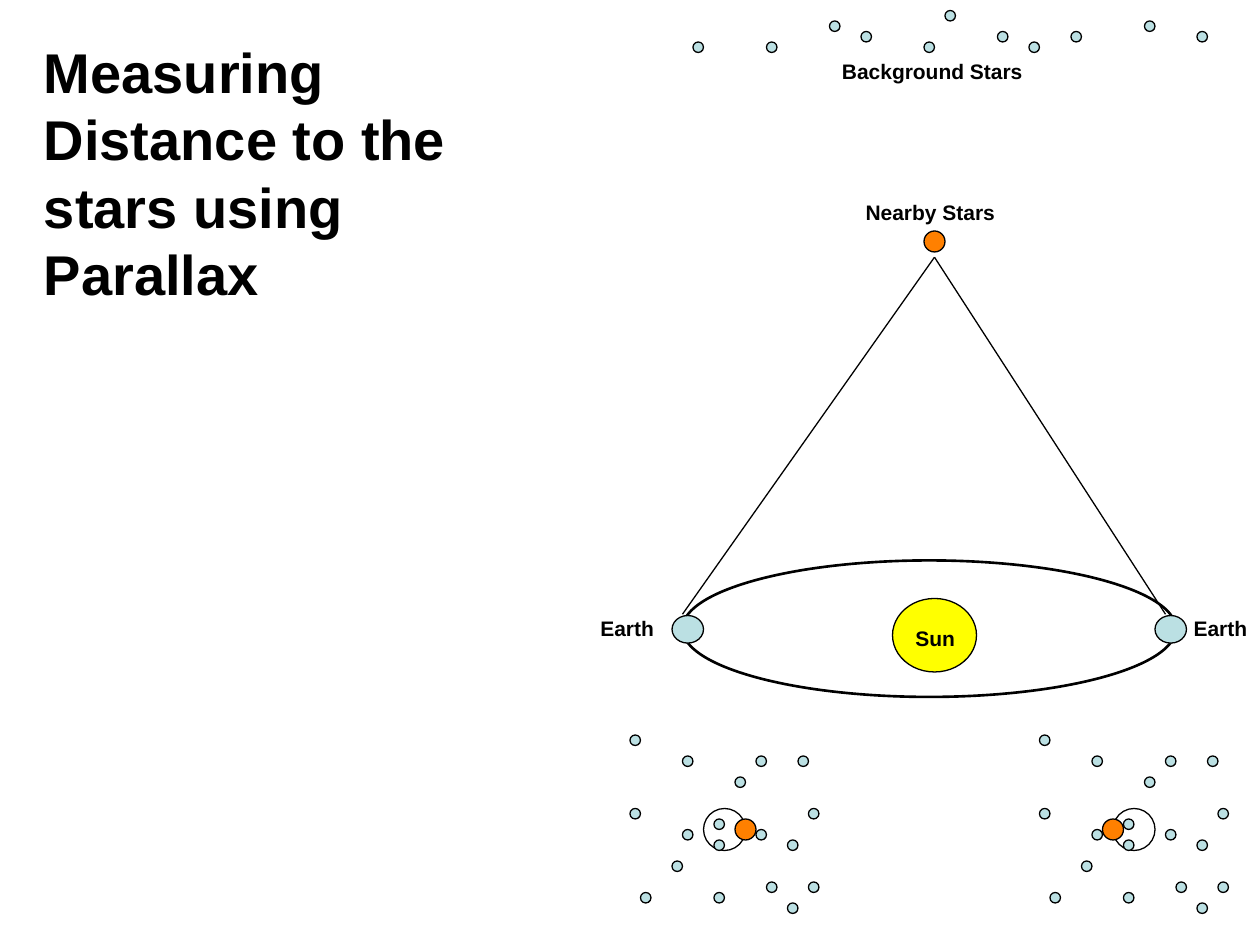
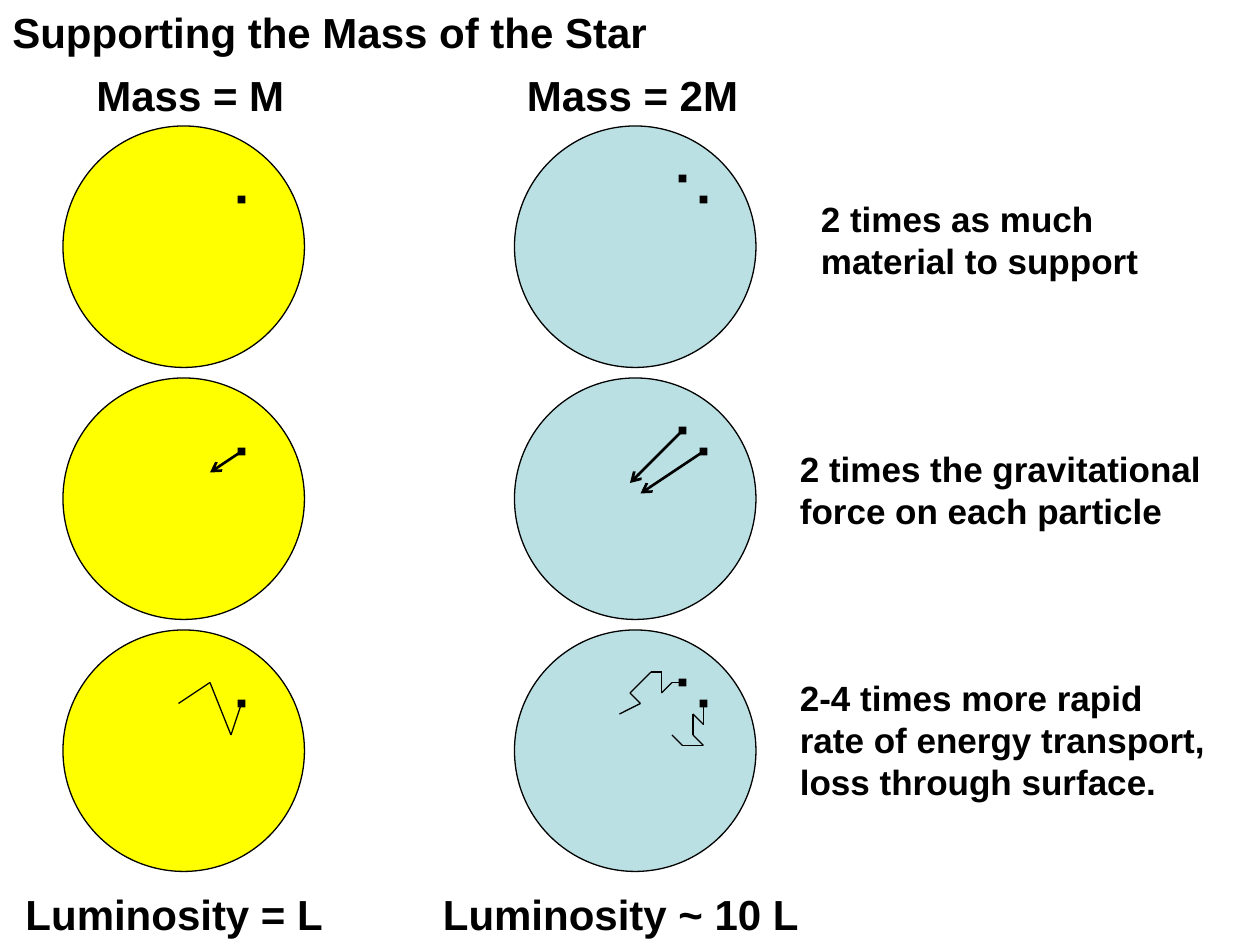
from dataclasses import dataclass

from lxml import etree
from pptx import Presentation
from pptx.dml.color import RGBColor
from pptx.enum.shapes import MSO_CONNECTOR, MSO_SHAPE
from pptx.enum.text import MSO_AUTO_SIZE
from pptx.oxml.ns import qn
from pptx.slide import Slide
from pptx.util import Emu, Pt

OVAL = MSO_SHAPE.OVAL
SQUARE = MSO_SHAPE.RECTANGLE
STRAIGHT = MSO_CONNECTOR.STRAIGHT
GROW = MSO_AUTO_SIZE.SHAPE_TO_FIT_TEXT

EMU_PER_PX = 9525
FONT = "Arial"
BLACK = "000000"
YELLOW = "FFFF00"
PALE_BLUE = "BBE0E3"
ORANGE = "FF8000"
THIN, THICK = 0.75, 1.5

Point = tuple[int, int]


@dataclass(frozen=True)
class Label:
    text: str
    left: int
    top: int
    width: int
    height: int
    size: int
    wrap: bool = False


@dataclass(frozen=True)
class Oval:
    left: int
    top: int
    width: int
    height: int
    fill: str | None = None
    weight: float = THIN


@dataclass(frozen=True)
class Particle:
    place: Point
    pull: Point
    walk: tuple[Point, ...]


@dataclass(frozen=True)
class StarColumn:
    left: int
    fill: str
    particles: tuple[Particle, ...]


STAR_SIZE = 8
NEARBY_SIZE = 16
RING_SIZE = 32
BACKGROUND_STARS = (
    (528, 32), (584, 32), (632, 16), (704, 32), (760, 24), (816, 24),
    (872, 16), (656, 24), (784, 32), (720, 8), (912, 24),
)
SKY_STARS = (
    (32, 96), (64, 64), (128, 16), (40, 16), (96, 16), (136, 56),
    (80, 32), (0, 0), (8, 120), (64, 120), (104, 112), (120, 128),
    (40, 72), (96, 72), (120, 80), (136, 112), (64, 80), (0, 56),
)
SKY_TOP = 560
SKY_LEFT_TO_NEARBY_SHIFT = {480: 80, 792: 48}
PARALLAX_LABELS = (
    Label("Earth", 448, 464, 60, 29, 12),
    Label("Earth", 900, 464, 60, 29, 12),
    Label("Sun", 688, 472, 52, 29, 12),
    Label("Background Stars", 632, 40, 160, 29, 12),
    Label("Nearby Stars", 650, 147, 121, 29, 12),
)

DISC_SIZE = 184
DISC_TOPS = (96, 288, 480)
PARTICLE_SIZE = 6
STAR_COLUMNS = (
    StarColumn(48, YELLOW, (
        Particle((136, 56), (-24, 16), ((-8, 24), (-24, -16), (-48, 0))),
    )),
    StarColumn(392, PALE_BLUE, (
        Particle((128, 40), (-40, 40), (
            (-8, 0), (-16, 8), (-16, -8), (-24, -8),
            (-40, 8), (-32, 16), (-48, 24),
        )),
        Particle((144, 56), (-48, 32), (
            (0, 16), (-8, 8), (-8, 24), (0, 32), (-16, 32), (-24, 24),
        )),
    )),
)
MASS_LABELS = (
    Label("Supporting the Mass of the Star", 0, 0, 506, 48, 24),
    Label("Mass = M", 64, 48, 166, 48, 24),
    Label("Mass = 2M", 392, 48, 184, 48, 24),
    Label("2 times as much material to support", 616, 146, 264, 74, 20, True),
    Label("2 times the gravitational force on each particle",
          600, 336, 336, 74, 20, True),
    Label("2-4 times more rapid rate of energy transport, loss through surface.",
          600, 511, 336, 106, 20, True),
    Label("Luminosity = L", 10, 672, 254, 48, 24, True),
    Label("Luminosity ~ 10 L", 328, 672, 320, 48, 24, True),
)


def px(length: int) -> Emu:
    return Emu(length * EMU_PER_PX)


def color(value: str) -> RGBColor:
    return RGBColor.from_string(value)


def shift(start: Point, offset: Point) -> Point:
    return start[0] + offset[0], start[1] + offset[1]


def draw_label(slide: Slide, label: Label) -> None:
    box = slide.shapes.add_textbox(
        px(label.left), px(label.top), px(label.width), px(label.height))
    frame = box.text_frame
    frame.word_wrap = label.wrap
    frame.auto_size = GROW
    frame.text = label.text
    font = frame.paragraphs[0].runs[0].font
    font.name = FONT
    font.size = Pt(label.size)
    font.bold = True
    font.color.rgb = color(BLACK)


def draw_oval(slide: Slide, oval: Oval) -> None:
    shape = slide.shapes.add_shape(
        OVAL, px(oval.left), px(oval.top), px(oval.width), px(oval.height))
    shape.shadow.inherit = False
    if oval.fill:
        shape.fill.solid()
        shape.fill.fore_color.rgb = color(oval.fill)
    else:
        shape.fill.background()
    shape.line.color.rgb = color(BLACK)
    shape.line.width = Pt(oval.weight)


def draw_circle(slide: Slide, corner: Point, size: int,
                fill: str | None = None) -> None:
    draw_oval(slide, Oval(*corner, size, size, fill))


def draw_particle(slide: Slide, center: Point) -> None:
    half = PARTICLE_SIZE // 2
    left, top = shift(center, (-half, -half))
    dot = slide.shapes.add_shape(
        SQUARE, px(left), px(top), px(PARTICLE_SIZE), px(PARTICLE_SIZE))
    dot.shadow.inherit = False
    dot.fill.solid()
    dot.fill.fore_color.rgb = color(BLACK)
    dot.line.fill.background()


def draw_line(slide: Slide, start: Point, end: Point,
              weight: float = THIN, arrow: bool = False) -> None:
    connector = slide.shapes.add_connector(
        STRAIGHT, px(start[0]), px(start[1]), px(end[0]), px(end[1]))
    connector.line.color.rgb = color(BLACK)
    connector.line.width = Pt(weight)
    properties = connector.line._get_or_add_ln().getparent()
    if arrow:
        outline = properties.find(qn("a:ln"))
        etree.SubElement(outline, qn("a:tailEnd"), type="arrow")
    etree.SubElement(properties, qn("a:effectLst"))


def draw_stars(slide: Slide, corners: tuple[Point, ...],
               origin: Point = (0, 0)) -> None:
    for corner in corners:
        draw_circle(slide, shift(origin, corner), STAR_SIZE, PALE_BLUE)


def draw_sky(slide: Slide, left: int, nearby_shift: int) -> None:
    origin = (left, SKY_TOP)
    draw_circle(slide, shift(origin, (56, 56)), RING_SIZE)
    draw_circle(slide, shift(origin, (nearby_shift, 64)), NEARBY_SIZE, ORANGE)
    draw_stars(slide, SKY_STARS, origin)


def build_parallax(slide: Slide) -> None:
    draw_label(slide, Label("Measuring Distance to the stars using Parallax",
                            24, 24, 368, 215, 32, True))
    draw_oval(slide, Oval(680, 456, 64, 56, YELLOW))
    draw_oval(slide, Oval(520, 427, 376, 104, weight=THICK))
    for earth_left in (512, 880):
        draw_oval(slide, Oval(earth_left, 469, 24, 21, PALE_BLUE))
    draw_circle(slide, (704, 176), NEARBY_SIZE, ORANGE)
    for sight_left in (520, 888):
        draw_line(slide, (sight_left, 468), (712, 196))
    draw_stars(slide, BACKGROUND_STARS)
    for sky_left, nearby_shift in SKY_LEFT_TO_NEARBY_SHIFT.items():
        draw_sky(slide, sky_left, nearby_shift)
    for label in PARALLAX_LABELS:
        draw_label(slide, label)


def draw_star_column(slide: Slide, column: StarColumn) -> None:
    for top in DISC_TOPS:
        draw_circle(slide, (column.left, top), DISC_SIZE, column.fill)
    for particle in column.particles:
        spots = [shift((column.left, top), particle.place) for top in DISC_TOPS]
        for spot in spots:
            draw_particle(slide, spot)
        _, pulled, wandering = spots
        draw_line(slide, pulled, shift(pulled, particle.pull), THICK, True)
        steps = [wandering, *(shift(wandering, step) for step in particle.walk)]
        for start, end in zip(steps, steps[1:]):
            draw_line(slide, start, end)


def build_mass_support(slide: Slide) -> None:
    for column in STAR_COLUMNS:
        draw_star_column(slide, column)
    for label in MASS_LABELS:
        draw_label(slide, label)


def main() -> None:
    deck = Presentation()
    deck.slide_width, deck.slide_height = px(960), px(720)
    blank = deck.slide_layouts[6]
    for build in (build_parallax, build_mass_support):
        build(deck.slides.add_slide(blank))
    deck.save("out.pptx")


if __name__ == "__main__":
    main()
